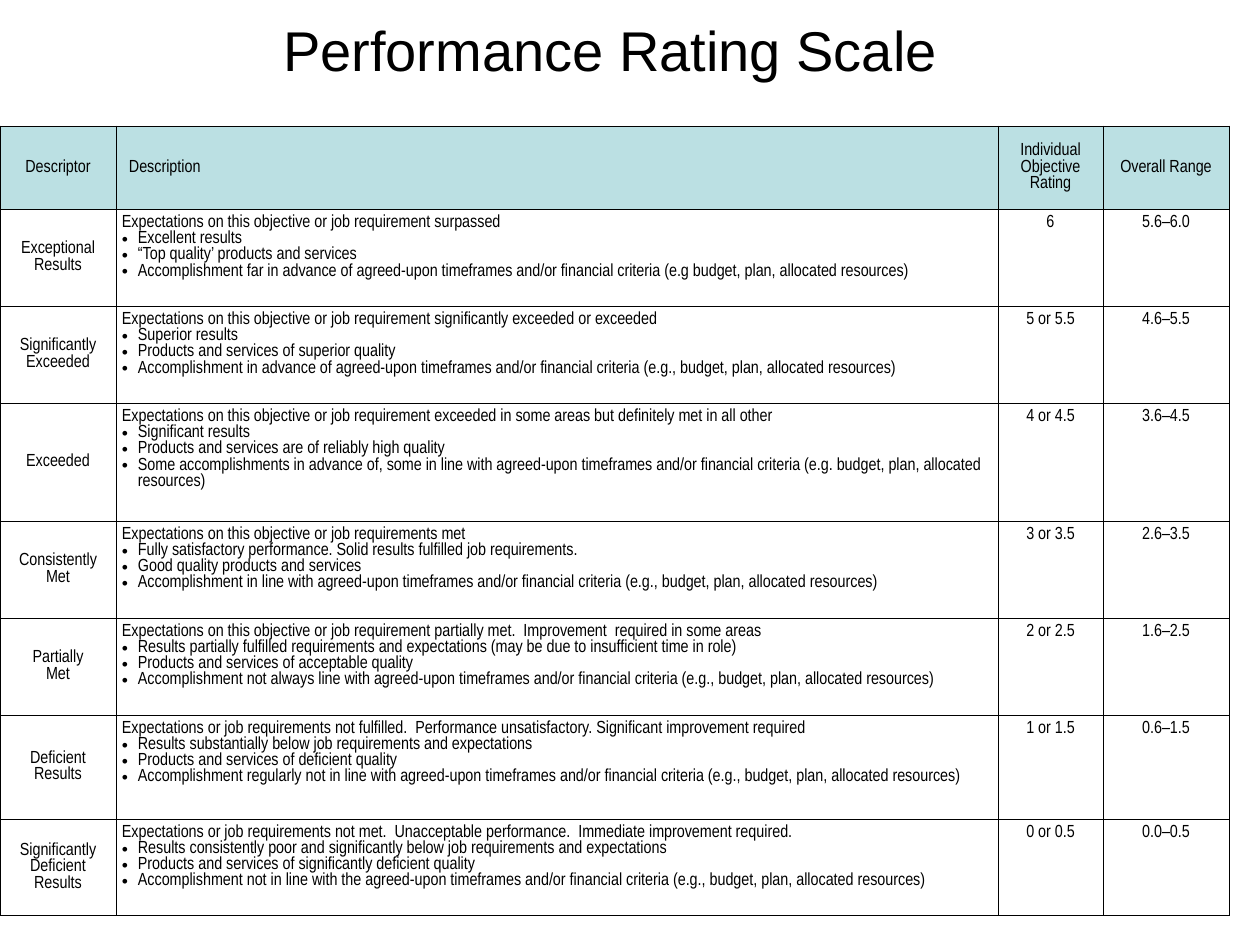
from lxml import etree
from pptx import Presentation
from pptx import util as u
from pptx.dml.color import RGBColor
from pptx.enum import text
from pptx.oxml import ns

HUE = {"ink": "000000", "head": "BBE0E3"}
MID, TOP = text.MSO_ANCHOR.MIDDLE, text.MSO_ANCHOR.TOP
LEFT, MIDX = text.PP_ALIGN.LEFT, text.PP_ALIGN.CENTER


def px(n):
    return u.Emu(n * 914400 // 126)


def sub(node, tag, **atts):
    return etree.SubElement(node, ns.qn("a:" + tag), atts)


class Deck:
    face, size, edge = "Arial Narrow", 10, 0.45

    def __init__(self):
        self.prs = Presentation()
        self.prs.slide_width, self.prs.slide_height = u.Inches(10), u.Inches(7.5)
        self.page = self.prs.slides.add_slide(self.prs.slide_layouts[5])

    def run(self, para, words, face=None, size=None):
        run = para.add_run()
        run.text = words
        font = run.font
        font.name, font.size = face or self.face, u.Pt(size or self.size)
        font.bold = False
        font.color.rgb = RGBColor.from_string(HUE["ink"])

    def title(self, words, x, y, w, h):
        box = self.page.shapes.title
        box.left, box.top, box.width, box.height = map(px, (x, y, w, h))
        frame = box.text_frame
        frame.word_wrap, frame.auto_size = True, text.MSO_AUTO_SIZE.NONE
        frame.vertical_anchor = text.MSO_ANCHOR.BOTTOM
        frame.margin_left = frame.margin_right = 0
        frame.margin_top = frame.margin_bottom = px(6)
        para = frame.paragraphs[0]
        para.alignment = MIDX
        self.run(para, words, "Arial", 32)

    def indent(self, para, dot):
        props = para._p.get_or_add_pPr()
        props.set("marL", str(px(16)))
        props.set("indent", str(-px(16)))
        if dot:
            sub(sub(props, "buClr"), "srgbClr", val=HUE["ink"])
            sub(props, "buFont", typeface="Arial")
            sub(props, "buChar", char="•")

    def border(self, cell):
        props = cell._tc.get_or_add_tcPr()
        for side in "LRTB":
            line = sub(props, "ln" + side, w=str(u.Pt(self.edge)))
            sub(sub(line, "solidFill"), "srgbClr", val=HUE["ink"])

    def cell(self, cell, lines, align, anchor, side, fill=None, hang=False, after=0):
        cell.margin_left = cell.margin_right = px(side)
        cell.margin_top = cell.margin_bottom = px(6)
        cell.vertical_anchor = anchor
        self.border(cell)
        if fill:
            cell.fill.solid()
            cell.fill.fore_color.rgb = RGBColor.from_string(HUE[fill])
        else:
            cell.fill.background()
        frame = cell.text_frame
        for i, words in enumerate(lines):
            para = frame.add_paragraph() if i else frame.paragraphs[0]
            if hang:
                self.indent(para, dot=i > 0)
            para.alignment = align
            if after:
                para.space_after = u.Pt(after)
            self.run(para, words)

    def table(self, x, y, cols, rows):
        size = map(px, (x, y, sum(cols), sum(rows)))
        grid = self.page.shapes.add_table(len(rows), len(cols), *size).table
        grid.first_row = grid.horz_banding = False
        for col, w in zip(grid.columns, cols):
            col.width = px(w)
        for row, h in zip(grid.rows, rows):
            row.height = px(h)
        return grid


HEADS = [("Descriptor", MIDX, 0), ("Description", LEFT, 3),
         ("Individual Objective Rating", MIDX, 3), ("Overall Range", MIDX, 0)]

# Descriptor lines, description with its bullets, rating, range
LEVELS = [
    (["Exceptional Results"],
     ["Expectations on this objective or job requirement surpassed",
      "Excellent results",
      "“Top quality’ products and services",
      "Accomplishment far in advance of agreed-upon timeframes and/or financial criteria (e.g budget, plan, allocated resources)"],
     "6", "5.6–6.0"),
    (["Significantly Exceeded"],
     ["Expectations on this objective or job requirement significantly exceeded or exceeded",
      "Superior results",
      "Products and services of superior quality",
      "Accomplishment in advance of agreed-upon timeframes and/or financial criteria (e.g., budget, plan, allocated resources)"],
     "5 or 5.5", "4.6–5.5"),
    (["Exceeded"],
     ["Expectations on this objective or job requirement exceeded in some areas but definitely met in all other",
      "Significant results",
      "Products and services are of reliably high quality",
      "Some accomplishments in advance of, some in line with agreed-upon timeframes and/or financial criteria (e.g. budget, plan, allocated resources)"],
     "4 or 4.5", "3.6–4.5"),
    (["Consistently Met"],
     ["Expectations on this objective or job requirements met",
      "Fully satisfactory performance. Solid results fulfilled job requirements.",
      "Good quality products and services",
      "Accomplishment in line with agreed-upon timeframes and/or financial criteria (e.g., budget, plan, allocated resources)"],
     "3 or 3.5", "2.6–3.5"),
    (["Partially", "Met"],
     ["Expectations on this objective or job requirement partially met.  Improvement  required in some areas",
      "Results partially fulfilled requirements and expectations (may be due to insufficient time in role)",
      "Products and services of acceptable quality",
      "Accomplishment not always line with agreed-upon timeframes and/or financial criteria (e.g., budget, plan, allocated resources)"],
     "2 or 2.5", "1.6–2.5"),
    (["Deficient Results"],
     ["Expectations or job requirements not fulfilled.  Performance unsatisfactory. Significant improvement required",
      "Results substantially below job requirements and expectations",
      "Products and services of deficient quality",
      "Accomplishment regularly not in line with agreed-upon timeframes and/or financial criteria (e.g., budget, plan, allocated resources)"],
     "1 or 1.5", "0.6–1.5"),
    (["Significantly Deficient Results"],
     ["Expectations or job requirements not met.  Unacceptable performance.  Immediate improvement required.",
      "Results consistently poor and significantly below job requirements and expectations",
      "Products and services of significantly deficient quality",
      "Accomplishment not in line with the agreed-upon timeframes and/or financial criteria (e.g., budget, plan, allocated resources)"],
     "0 or 0.5", "0.0–0.5"),
]


def main():
    deck = Deck()
    deck.title("Performance Rating Scale", 158, 32, 905, 57)

    # Rating table: header row
    grid = deck.table(0, 126, [116, 882, 105, 126],
                      [83, 97, 97, 118, 97, 97, 104, 97])
    for c, (head, align, after) in enumerate(HEADS):
        deck.cell(grid.cell(0, c), [head], align, MID, 13, "head", after=after)

    # One row per level
    for r, (name, about, rate, span) in enumerate(LEVELS, 1):
        deck.cell(grid.cell(r, 0), name, MIDX, MID, 13)
        deck.cell(grid.cell(r, 1), about, LEFT, TOP, 6, hang=True)
        for c, value in enumerate((rate, span), 2):
            deck.cell(grid.cell(r, c), [value], MIDX, TOP, 6, hang=True)

    deck.prs.save("out.pptx")


if __name__ == "__main__":
    main()
